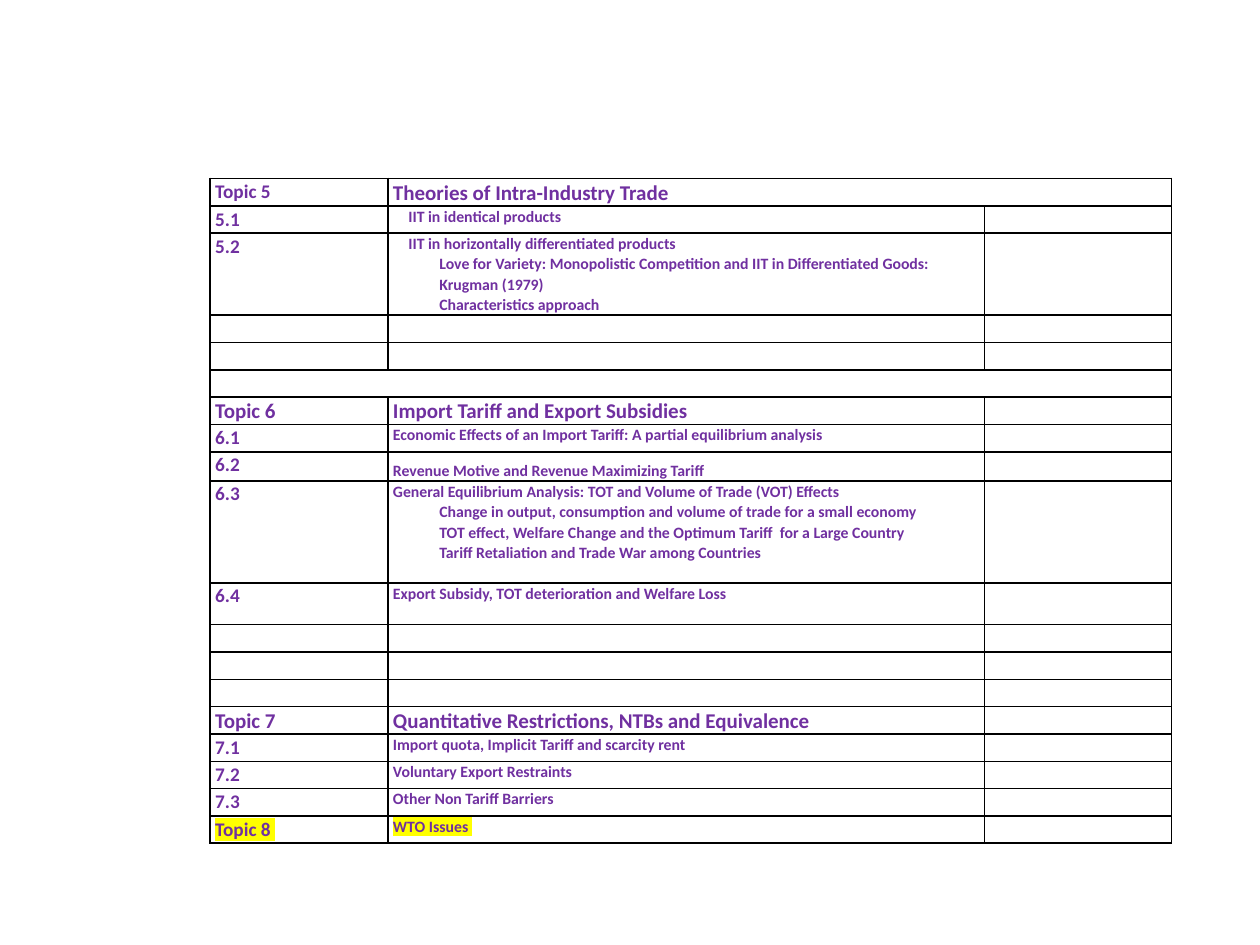
from lxml.etree import SubElement
from pptx import Presentation
from pptx.dml.color import RGBColor
from pptx.oxml.ns import qn
from pptx.util import Pt

PURPLE, BLACK, YELLOW = "7030A0", "000000", "FFFF00"
COLUMN_WIDTHS = [101.6, 341, 107]
ROW_HEIGHT = 15.6
TALL_ROWS = {2: 46.6, 8: 16.6, 9: 58.3, 10: 24}
TOPIC, NUMBER, ITEM = 12, 11, 9  # text sizes
INDENT, SUB_INDENT = 8.8, 26.5


def color(value):
    return RGBColor.from_string(value)


def line(text, size=ITEM, indent=0, spacing=1.07, highlight=None):
    return text, size, indent, spacing, highlight


def item(number, *lines):
    return [line(number, NUMBER)], list(lines)


def topic(number, heading, number_size=TOPIC):
    return [line(number, number_size)], [line(heading, TOPIC)]


EMPTY = ([], [])
ROWS = [
    topic("Topic 5", "Theories of Intra-Industry Trade", NUMBER),
    item("5.1", line("IIT in identical products", indent=INDENT)),
    item("5.2",
         line("IIT in horizontally differentiated products", indent=INDENT),
         line("Love for Variety: Monopolistic Competition and IIT in "
              "Differentiated Goods: Krugman (1979)", indent=SUB_INDENT),
         line("Characteristics approach", indent=SUB_INDENT)),
    EMPTY, EMPTY, EMPTY,
    topic("Topic 6", "Import Tariff and Export Subsidies"),
    item("6.1", line("Economic Effects of an Import Tariff: A partial equilibrium analysis")),
    item("6.2", line("Revenue Motive and Revenue Maximizing Tariff", spacing=1.5)),
    item("6.3",
         line("General Equilibrium Analysis: TOT and Volume of Trade (VOT) Effects"),
         line("Change in output, consumption and volume of trade for a small economy",
              indent=SUB_INDENT),
         line("TOT effect, Welfare Change and the Optimum Tariff  for a Large Country",
              indent=SUB_INDENT),
         line("Tariff Retaliation and Trade War among Countries", indent=SUB_INDENT)),
    item("6.4", line("Export Subsidy, TOT deterioration and Welfare Loss")),
    EMPTY, EMPTY, EMPTY,
    topic("Topic 7", "Quantitative Restrictions, NTBs and Equivalence"),
    item("7.1", line("Import quota, Implicit Tariff and scarcity rent")),
    item("7.2", line("Voluntary Export Restraints")),
    item("7.3", line("Other Non Tariff Barriers")),
    ([line("Topic 8 ", NUMBER, highlight=YELLOW)],
     [line("WTO Issues ", highlight=YELLOW)]),
]


class SlideBuilder:
    font = "Calibri"

    def __init__(self, deck):
        self.page = deck.slides.add_slide(deck.slide_layouts[6])

    def add_grid(self, left, top, widths, heights):
        frame = self.page.shapes.add_table(
            len(heights), len(widths), Pt(left), Pt(top), Pt(sum(widths)), Pt(sum(heights)))
        table = frame.table
        table.first_row = table.horz_banding = False
        for column, width in zip(table.columns, widths):
            column.width = Pt(width)
        for row, height in zip(table.rows, heights):
            row.height = Pt(height)
            for cell in row.cells:
                self.style_cell(cell)
        return table

    def style_cell(self, cell):
        cell.margin_left = cell.margin_right = Pt(3)
        cell.margin_top = cell.margin_bottom = 0
        properties = cell._tc.get_or_add_tcPr()
        for side in ("a:lnL", "a:lnR", "a:lnT", "a:lnB"):
            border = SubElement(properties, qn(side), w=str(Pt(1)))
            fill = SubElement(border, qn("a:solidFill"))
            SubElement(fill, qn("a:srgbClr"), val=BLACK)
        cell.fill.background()
        # Small end mark, so that empty rows stay low
        SubElement(cell.text_frame.paragraphs[0]._p, qn("a:endParaRPr"),
                   sz=str(ITEM * 100))

    def add_lines(self, cell, lines):
        box = cell.text_frame
        for index, (text, size, indent, spacing, highlight) in enumerate(lines):
            para = box.add_paragraph() if index else box.paragraphs[0]
            para.line_spacing = spacing
            para._p.get_or_add_pPr().set("marL", str(Pt(indent)))
            self.add_span(para, text, size, highlight)

    def add_span(self, para, text, size, highlight):
        span = para.add_run()
        span.text = text
        span.font.size, span.font.bold = Pt(size), True
        span.font.color.rgb = color(PURPLE)
        if highlight:
            mark = SubElement(span.font._element, qn("a:highlight"))
            SubElement(mark, qn("a:srgbClr"), val=highlight)
        span.font.name = self.font


def main():
    deck = Presentation()
    deck.slide_width, deck.slide_height = Pt(720), Pt(540)
    builder = SlideBuilder(deck)

    # Course outline grid
    heights = [TALL_ROWS.get(index, ROW_HEIGHT) for index in range(len(ROWS))]
    table = builder.add_grid(120, 102, COLUMN_WIDTHS, heights)
    table.cell(0, 1).merge(table.cell(0, 2))
    table.cell(5, 0).merge(table.cell(5, 2))

    # Topics and their items
    for index, (number, lines) in enumerate(ROWS):
        builder.add_lines(table.cell(index, 0), number)
        builder.add_lines(table.cell(index, 1), lines)

    deck.save("out.pptx")


if __name__ == "__main__":
    main()
